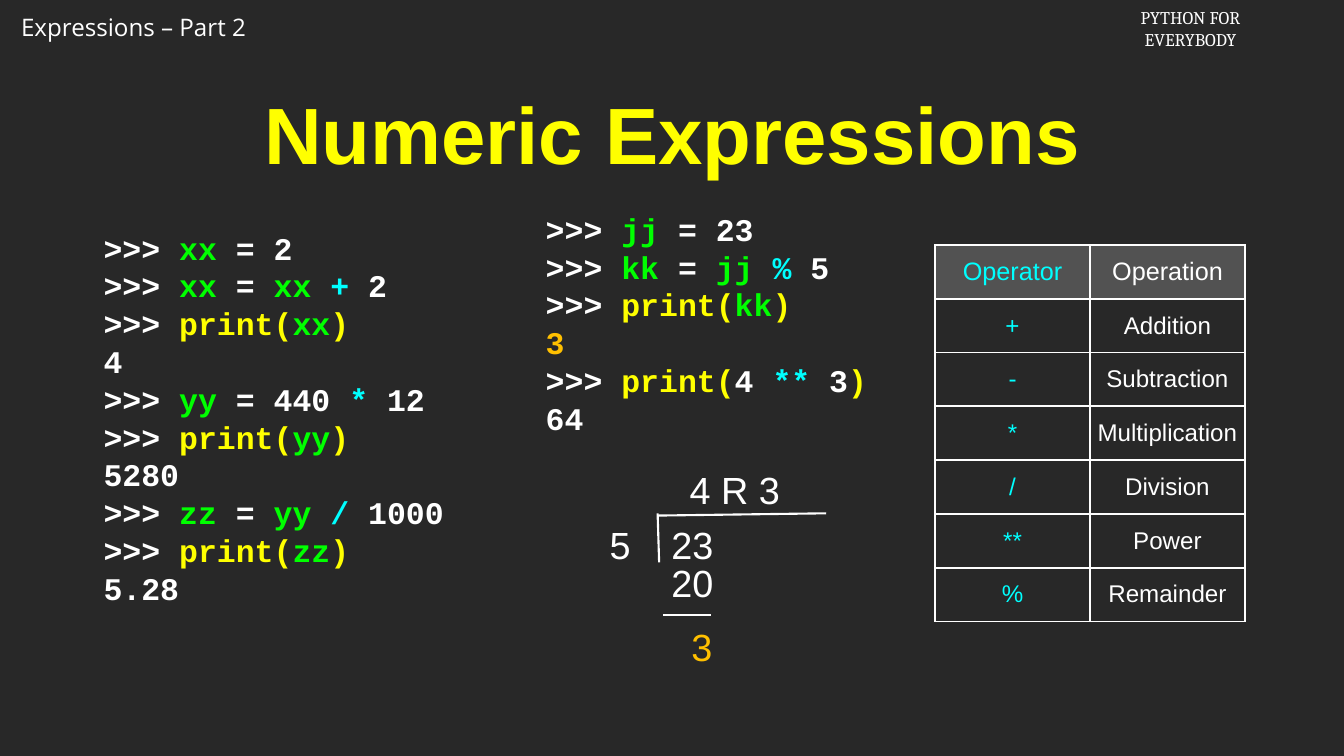
from lxml import etree
from pptx import Presentation, util as u
from pptx.dml.color import RGBColor
from pptx.enum import shapes, text
from pptx.oxml import ns

COLORS = {"back": "282828", "white": "FFFFFF", "yellow": "FFFF00", "green": "00FF00",
          "cyan": "00FFFF", "orange": "FFC000", "header": "7F7F7F"}
MARKS = {"w": "white", "y": "yellow", "g": "green", "c": "cyan", "o": "orange"}


def style(span, size, face, color, bold=False):
    span.font.size = u.Pt(size)
    span.font.name = face
    span.font.bold = bold
    span.font.color.rgb = RGBColor.from_string(COLORS[color])


def add_box(left, top, width, height, inset=0, anchor=text.MSO_ANCHOR.MIDDLE):
    box = slide.shapes.add_textbox(*map(u.Inches, (left, top, width, height)))
    frame = box.text_frame
    frame.word_wrap = True
    frame.vertical_anchor = anchor
    frame.margin_left = frame.margin_right = u.Inches(inset)
    frame.margin_top = frame.margin_bottom = u.Inches(inset / 2)
    return frame


deck = Presentation()
deck.slide_width, deck.slide_height = u.Inches(17.78), u.Inches(10)
slide = deck.slides.add_slide(deck.slide_layouts[5])
slide.background.fill.solid()
slide.background.fill.fore_color.rgb = RGBColor.from_string(COLORS["back"])

title = slide.shapes.title
title.left, title.top = u.Inches(0.89), u.Inches(1.09)
title.width, title.height = u.Inches(16), u.Inches(1.34)
title.text_frame.text = "Numeric Expressions"
title.text_frame.vertical_anchor = text.MSO_ANCHOR.MIDDLE
title.text_frame.paragraphs[0].alignment = text.PP_ALIGN.CENTER
style(title.text_frame.paragraphs[0].runs[0], 76, "Arial", "yellow", True)

headings = [
    ((0.18, 0.12, 3.35, 0.49), "Expressions – Part 2", 23, "Open Sans", text.PP_ALIGN.LEFT),
    ((14.88, 0.04, 1.74, 0.67), "PYTHON FOR\nEVERYBODY", 17, "Cambria", text.PP_ALIGN.CENTER),
]
for place, words, size, face, align in headings:
    frame = add_box(*place, inset=0.1, anchor=text.MSO_ANCHOR.TOP)
    frame.word_wrap = False
    frame.text = words
    for para in frame.paragraphs:
        para.alignment = align
        style(para.runs[0], size, face, "white")

prompt = ("w", ">>> ")
sessions = [
    ((1.37, 2.62, 4.88, 5.81), [
        [prompt, ("g", "xx"), ("w", " = 2")],
        [prompt, ("g", "xx"), ("w", " = "), ("g", "xx "), ("c", "+"), ("w", " 2")],
        [prompt, ("y", "print("), ("g", "xx"), ("y", ")")],
        [("w", "4")],
        [prompt, ("g", "yy"), ("w", " = 440 "), ("c", "*"), ("w", " 12")],
        [prompt, ("y", "print("), ("g", "yy"), ("y", ")")],
        [("w", "5280")],
        [prompt, ("g", "zz"), ("w", " = "), ("g", "yy "), ("c", "/"), ("w", " 1000")],
        [prompt, ("y", "print("), ("g", "zz"), ("y", ")")],
        [("w", "5.28")],
    ]),
    ((7.22, 2.51, 4.4, 3.53), [
        [prompt, ("g", "jj"), ("w", " = 23")],
        [prompt, ("g", "kk"), ("w", " = "), ("g", "jj "), ("c", "% "), ("w", "5")],
        [prompt, ("y", "print("), ("g", "kk"), ("y", ")")],
        [("o", "3")],
        [prompt, ("y", "print("), ("w", "4 "), ("c", "**"), ("w", " 3"), ("y", ")")],
        [("w", "64")],
    ]),
]
for place, lines in sessions:
    frame = add_box(*place)
    for index, line in enumerate(lines):
        para = frame.add_paragraph() if index else frame.paragraphs[0]
        para.line_spacing = u.Pt(36)
        for mark, words in line:
            span = para.add_run()
            span.text = words
            style(span, 30, "Courier New", MARKS[mark], True)

operators = [("Operator", "Operation"), ("+", "Addition"), ("-", "Subtraction"),
             ("*", "Multiplication"), ("/", "Division"), ("**", "Power"), ("%", "Remainder")]
holder = slide.shapes.add_table(len(operators), 2, u.Inches(12.37), u.Inches(3.24),
                                u.Inches(4.1), u.Inches(4.98))
table = holder.table
for row, words in enumerate(operators):
    for column, word in enumerate(words):
        cell = table.cell(row, column)
        cell.text = word
        cell.vertical_anchor = text.MSO_ANCHOR.MIDDLE
        cell.margin_left = cell.margin_right = u.Inches(0.04)
        cell.margin_top = cell.margin_bottom = u.Inches(0.04)
        para = cell.text_frame.paragraphs[0]
        para.alignment = text.PP_ALIGN.CENTER
        style(para.runs[0], 23 if row else 24, "Arial", "white" if column else "cyan")
        props = cell._tc.get_or_add_tcPr()
        for side in ("a:lnL", "a:lnR", "a:lnT", "a:lnB"):
            border = etree.SubElement(props, ns.qn(side), w=str(u.Pt(2)))
            paint = etree.SubElement(border, ns.qn("a:solidFill"))
            etree.SubElement(paint, ns.qn("a:srgbClr"), val=COLORS["white"])
        if row:
            cell.fill.background()
        else:
            cell.fill.solid()
            cell.fill.fore_color.rgb = RGBColor.from_string(COLORS["header"])
            tint = props.find(".//" + ns.qn("a:solidFill") + "[last()]")
            tint = props.find(ns.qn("a:solidFill")).find(ns.qn("a:srgbClr"))
            etree.SubElement(tint, ns.qn("a:alpha"), val="49000")

division_lines = [(8.7, 6.79, 8.72, 7.44), (8.7, 6.82, 10.93, 6.79), (8.77, 8.14, 9.41, 8.14)]
for ends in division_lines:
    line = slide.shapes.add_connector(shapes.MSO_CONNECTOR.STRAIGHT, *map(u.Inches, ends))
    line.line.color.rgb = RGBColor.from_string(COLORS["white"])
    line.line.width = u.Pt(2)
    etree.SubElement(line._element.spPr, ns.qn("a:effectLst"))

division_numbers = [
    ("5", 8.02, 6.86, 0.37, "white"),
    ("23", 8.85, 6.86, 0.62, "white"),
    ("4 R 3", 9.12, 6.13, 1.2, "white"),
    ("20", 8.85, 7.36, 0.62, "white"),
    ("3", 9.1, 8.21, 0.37, "orange"),
]
for number, left, top, width, color in division_numbers:
    para = add_box(left, top, width, 0.68).paragraphs[0]
    para.text = number
    para.alignment = text.PP_ALIGN.CENTER
    style(para.runs[0], 36, "Arial", color)

deck.save("out.pptx")
